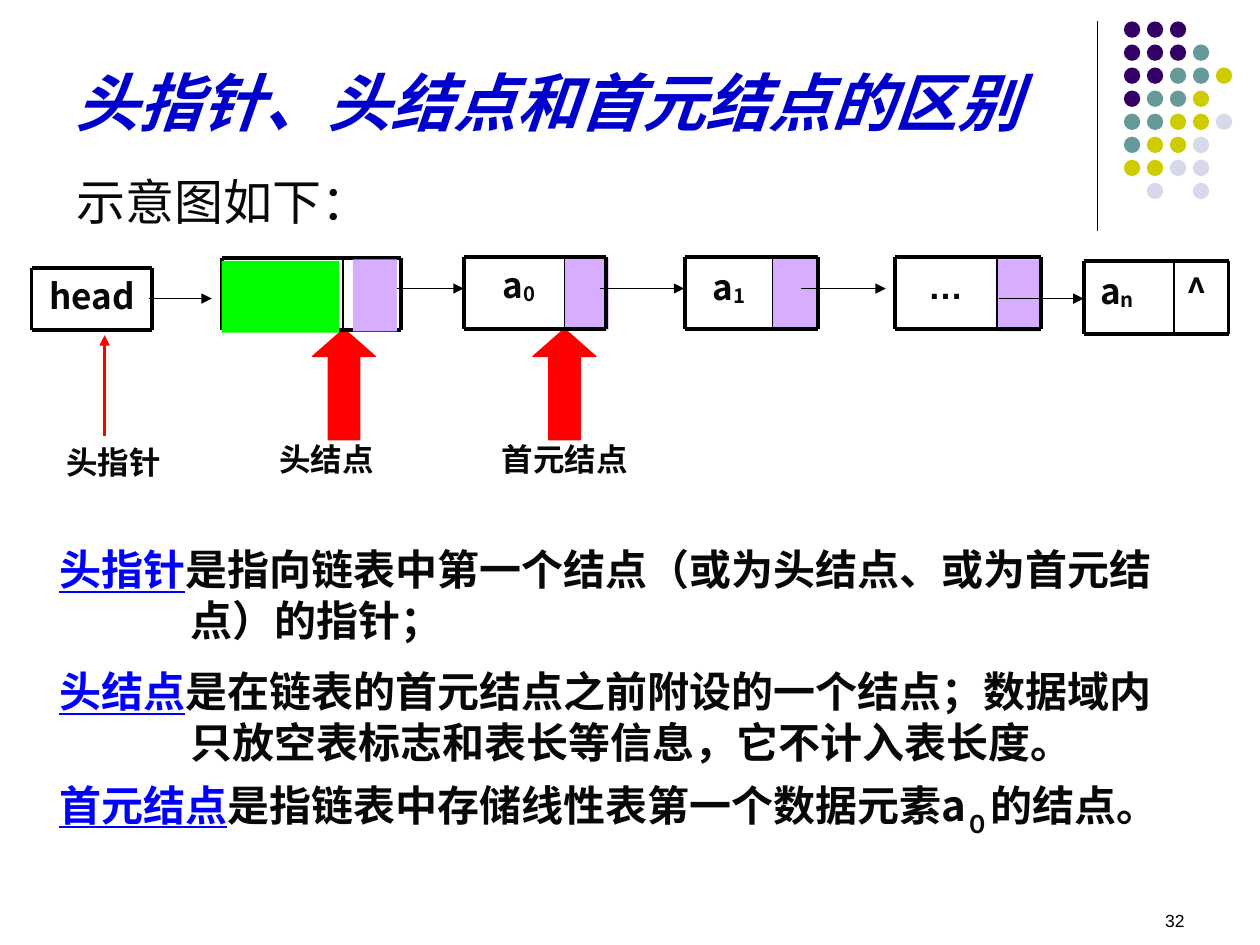
"""Build a slide that tells head pointer, head node and first element node apart."""
import lxml.etree
import pptx
import pptx.dml.color
import pptx.enum.shapes
import pptx.enum.text
import pptx.oxml.ns
import pptx.util

Inches, Pt = pptx.util.Inches, pptx.util.Pt
SHAPE = pptx.enum.shapes.MSO_SHAPE
ALIGN = pptx.enum.text.PP_ALIGN
ANCHOR = pptx.enum.text.MSO_ANCHOR
qn = pptx.oxml.ns.qn

THEME = {
    "cjk": "Noto Sans CJK SC", "latin": "Arial",
    "title": 36, "subtitle": 28, "body": 24, "node": 20, "label": 18, "number": 10,
    "ink": "080808", "black": "000000", "heading": "0000CC", "term": "0000FF",
    "red": "FF0000", "green": "00FF00", "lilac": "D6ADFF",
    "P": "330066", "T": "669999", "Y": "CCCC00", "L": "D8D8EC",
}


def rgb(name):
    return pptx.dml.color.RGBColor.from_string(THEME[name])


def write(area, paragraphs, size, color="ink", font="cjk", bold=True, italic=False,
          align=ALIGN.LEFT, anchor=ANCHOR.TOP, wrap=True, hanging=0):
    """Write paragraphs of (text, colour, baseline percent) spans in a text box."""
    frame = page.shapes.add_textbox(*map(Inches, area)).text_frame
    frame.word_wrap = wrap
    frame.vertical_anchor = anchor
    for index, spans in enumerate(paragraphs):
        para = frame.add_paragraph() if index else frame.paragraphs[0]
        para.alignment = align
        para.line_spacing = Pt(round(THEME[size] * 1.21))
        para.space_before = Pt(THEME[size] / 2 if index else 0)
        if hanging:
            properties = para._p.get_or_add_pPr()
            properties.set("marL", str(Inches(hanging)))
            properties.set("indent", str(-Inches(hanging)))
        para.font.size = Pt(THEME[size])
        para.font.bold = bold
        para.font.italic = italic
        para.font.name = THEME[font]
        para.font.color.rgb = rgb(color)
        lxml.etree.SubElement(para.font._element, qn("a:ea"), typeface=THEME[font])
        for text, span_color, baseline in spans:
            span = para.add_run()
            span.text = text
            if span_color:
                span.font.color.rgb = rgb(span_color)
                span.font.underline = True
            if baseline:
                span._r.get_or_add_rPr().set("baseline", str(baseline * 1000))


deck = pptx.Presentation()
deck.slide_width, deck.slide_height = Inches(10), Inches(7.5)
page = deck.slides.add_slide(deck.slide_layouts[6])

DOT_ROWS = ["PPP", "PPPT", "PPTTY", "PTTY", "TTYYL", "TYYL", "YYLL", " L L"]
dots = [
    (SHAPE.OVAL, (8.92 + 0.1825 * column, 0.17 + 0.183 * row, 0.13, 0.13), key)
    for row, keys in enumerate(DOT_ROWS) for column, key in enumerate(keys) if key != " "
]
link_fields = [
    (SHAPE.RECTANGLE, (left, top, 0.35, 0.57), "lilac")
    for left, top in [(4.48, 2.05), (6.13, 2.03), (7.91, 2.06)]
]
pointers = [(SHAPE.UP_ARROW, (left, 2.61, 0.5, 0.88), "red") for left in (2.48, 4.23)]
head_node_fields = [
    (SHAPE.RECTANGLE, (1.76, 2.07, 0.93, 0.57), "green"),
    (SHAPE.RECTANGLE, (2.8, 2.06, 0.35, 0.57), "lilac"),
]

NODES = [
    (0.25, 2.13, 1.21, 2.62, None),
    (1.76, 2.05, 3.18, 2.62, 2.72),
    (3.68, 2.04, 4.81, 2.61, 4.48),
    (5.44, 2.04, 6.49, 2.61, 6.13),
    (7.1, 2.04, 8.26, 2.61, 7.91),
    (8.6, 2.07, 9.75, 2.65, 9.32),
]
lines = [((8.71, 0.17, 8.71, 1.83), "black", 0.75, False),
         ((0.83, 3.46, 0.83, 2.66), "red", 2, True)]
for left, top, right, bottom, divider in NODES:
    for ends in [(left, top, right, top), (left, bottom, right, bottom),
                 (left, top, left, bottom), (right, top, right, bottom)]:
        lines.append((ends, "black", 2.25, False))
    if divider:
        lines.append(((divider, top, divider, bottom), "black", 1, False))
for start, end, y in [(1.18, 1.68, 2.37), (3.01, 3.68, 2.29), (4.76, 5.43, 2.29),
                      (6.36, 7.03, 2.29), (7.93, 8.6, 2.37)]:
    lines.append(((start, y, end, y), "black", 0.75, True))

for group in (dots + link_fields + pointers, lines, head_node_fields):
    for item in group:
        if group is lines:
            ends, color, width, arrow = item
            line = page.shapes.add_connector(
                pptx.enum.shapes.MSO_CONNECTOR.STRAIGHT, *map(Inches, ends))
            line.line.color.rgb = rgb(color)
            line.line.width = Pt(width)
            if arrow:
                lxml.etree.SubElement(
                    line.line._get_or_add_ln(), qn("a:tailEnd"), type="triangle")
            lxml.etree.SubElement(line._element.spPr, qn("a:effectLst"))
            continue
        kind, area, color = item
        shape = page.shapes.add_shape(kind, *map(Inches, area))
        shape.shadow.inherit = False
        shape.fill.solid()
        shape.fill.fore_color.rgb = rgb(color)
        shape.line.fill.background()
        if kind == SHAPE.UP_ARROW:
            shape.adjustments[0], shape.adjustments[1] = 0.5, 0.44
            shape.line.color.rgb = rgb(color)
            shape.line.width = Pt(0.75)

write((0.5, 0.13, 8.21, 1.02), [[("头指针、头结点和首元结点的区别", None, 0)]], "title",
      color="heading", italic=True, anchor=ANCHOR.BOTTOM)
write((0.51, 1.31, 3.08, 0.57), [[("示意图如下：", None, 0)]], "subtitle", bold=False)

for area, text, subscript, font, align in [
    ((0.25, 2.13, 0.96, 0.5), "head", "", "cjk", ALIGN.CENTER),
    ((3.68, 2.04, 0.88, 0.5), "a", "0", "cjk", ALIGN.CENTER),
    ((5.44, 2.06, 0.69, 0.57), "a", "1", "cjk", ALIGN.CENTER),
    ((7.1, 2.05, 0.81, 0.57), "…", "", "latin", ALIGN.CENTER),
    ((8.59, 2.09, 0.55, 0.57), "a", "n", "cjk", ALIGN.CENTER),
    ((9.32, 2.09, 0.51, 0.57), "^", "", "cjk", ALIGN.LEFT),
]:
    spans = [(text, None, 0)] + ([(subscript, None, -8)] if subscript else [])
    write(area, [spans], "node", font=font, align=align)

for left, top, width, text in [(0.42, 3.46, 0.96, "头指针"), (2.11, 3.44, 0.96, "头结点"),
                               (3.87, 3.44, 1.22, "首元结点")]:
    write((left, top, width, 0.4), [[(text, None, 0)]], "label",
          align=ALIGN.CENTER, wrap=False)

DEFINITIONS = [
    [("头指针", "term", 0),
     ("是指向链表中第一个结点（或为头结点、或为首元结点）的指针；", None, 0)],
    [("头结点", "term", 0),
     ("是在链表的首元结点之前附设的一个结点；数据域内只放空表标志和表长等信息，它不计入表长度。", None, 0)],
    [("首元结点", "term", 0), ("是指链表中存储线性表第一个数据元素a", None, 0),
     ("０", None, -30), ("的结点。", None, 0)],
]
write((0.37, 4.26, 9.11, 2.5), DEFINITIONS, "body", hanging=1.04)
write((7.17, 7.17, 2.33, 0.52), [[("32", None, 0)]], "number", color="black",
      font="latin", bold=False, align=ALIGN.RIGHT)

deck.save("out.pptx")
